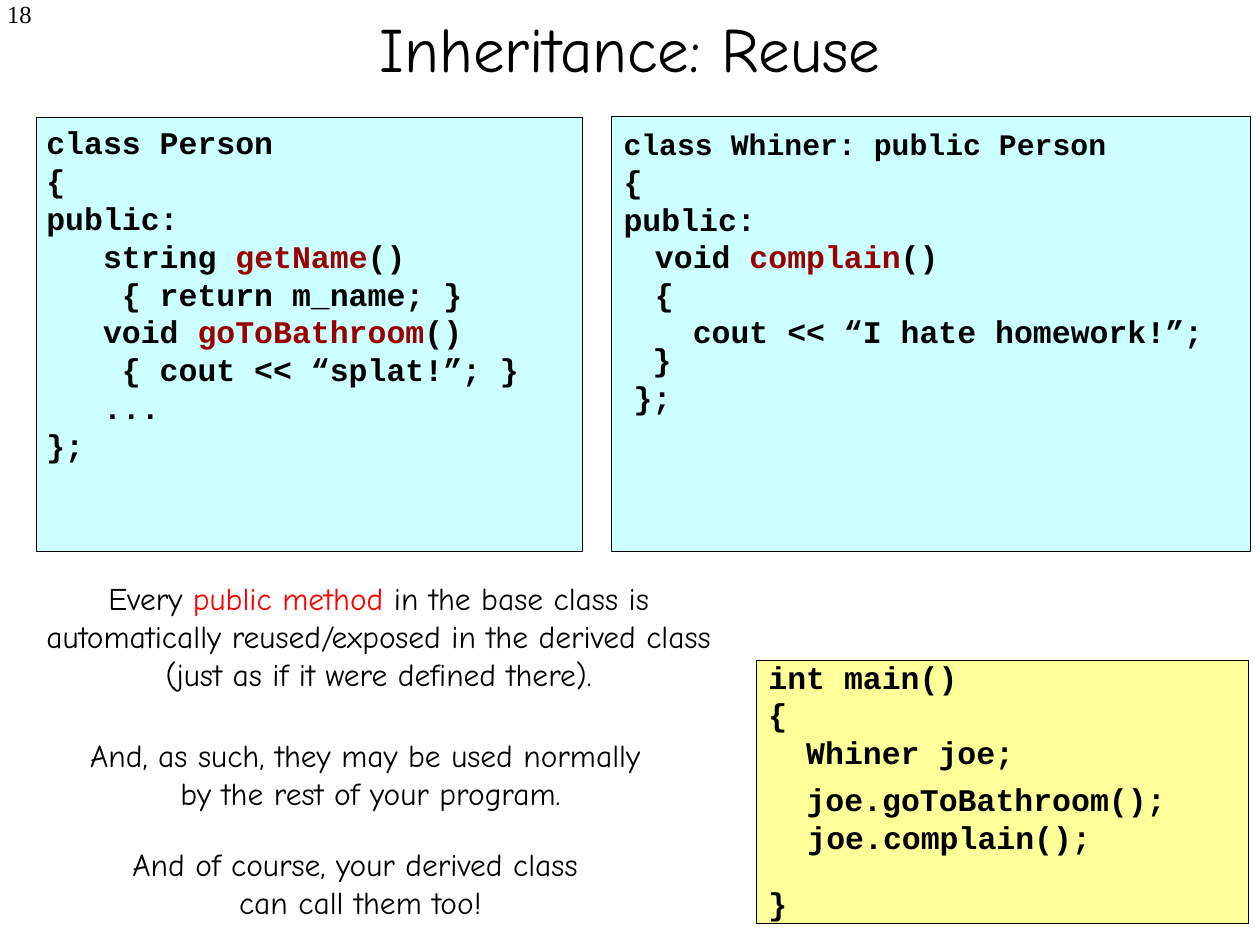
from pptx import Presentation
from pptx.dml.color import RGBColor
from pptx.enum.shapes import MSO_SHAPE
from pptx.enum.text import MSO_ANCHOR, PP_ALIGN
from pptx.util import Pt


def color(value):
    return RGBColor.from_string(value)


def add_text(left, top, width, height, lines, name="Courier New", align=PP_ALIGN.LEFT):
    box = page.shapes.add_textbox(Pt(left), Pt(top), Pt(width), Pt(height))
    frame = box.text_frame
    frame.word_wrap = True
    for index, line in enumerate(lines):
        para = frame.paragraphs[0] if index == 0 else frame.add_paragraph()
        para.alignment = align
        para.line_spacing = Pt(21.6)
        para.font.name = name
        para.font.size = Pt(18)
        para.font.bold = name == "Courier New"
        para.font.color.rgb = color("000000")
        for position, text in enumerate(line.split("|")):
            for part, piece in enumerate(text.split("\n")):
                if part:
                    para.add_line_break()
                span = para.add_run()
                span.text = piece
                if position == 1:
                    span.font.color.rgb = color(ACCENTS[name])
    return frame


ACCENTS = {"Courier New": "990000", "Comic Neue": "FF0000"}

deck = Presentation()
deck.slide_width, deck.slide_height = Pt(720), Pt(540)
page = deck.slides.add_slide(deck.slide_layouts[5])

title = page.shapes.title
title.left, title.top, title.width, title.height = Pt(54), Pt(-18), Pt(612), Pt(90)
title.text_frame.text = "Inheritance: Reuse"
title.text_frame.vertical_anchor = MSO_ANCHOR.MIDDLE
heading = title.text_frame.paragraphs[0]
heading.alignment = PP_ALIGN.CENTER
heading.font.name = "Comic Neue"
heading.font.size = Pt(36)
heading.font.color.rgb = color("000000")

number = add_text(0, -4.3, 25.2, 36, ["18"], "Times New Roman", PP_ALIGN.RIGHT)
number.margin_left = 0
number.paragraphs[0].font.size = Pt(14)
number.paragraphs[0].line_spacing = 1.0

for left, top, width, height, fill in [
    (349.2, 66.2, 365, 249.1, "CCFFFF"),
    (20.9, 67, 311.8, 248.1, "CCFFFF"),
    (432, 377.3, 281.5, 150.5, "FFFF99"),
]:
    panel = page.shapes.add_shape(MSO_SHAPE.RECTANGLE, Pt(left), Pt(top), Pt(width), Pt(height))
    panel.shadow.inherit = False
    panel.fill.solid()
    panel.fill.fore_color.rgb = color(fill)
    panel.line.color.rgb = color("000000")
    panel.line.width = Pt(0.25)

person = add_text(19.4, 67, 300, 203.8, [
    "class Person",
    "{",
    "public:",
    "   string |getName|()",
    "    { return m_name; }",
    "   void |goToBathroom|()",
    "    { cout << “splat!”; }",
    "   ...",
    "};",
])

whiner = add_text(349.2, 67.3, 293.8, 71.3, ["class Whiner: public Person", "{", "public:"])
whiner.paragraphs[0].font.size = Pt(17)
add_text(345.6, 131.8, 366, 94.3, [
    "  void |complain|()",
    "  {",
    "    cout << “I hate homework!”;",
])
add_text(355, 190.8, 360, 51.1, [" }", "};"])

main_code = add_text(432, 372.2, 281, 159.8, ["int main()", "{", "  Whiner joe;", "}"])
main_code.paragraphs[-1].space_before = Pt(64.7)
add_text(453.8, 442.1, 240, 28.8, ["joe.goToBathroom();"])
add_text(454.3, 463.7, 240, 28.8, ["joe.complain();"])

for left, top, width, height, text in [
    (5.8, 327.6, 421.2, 74.9,
     "Every |public method |in the base class is automatically reused/exposed "
     "in the derived class (just as if it were defined there)."),
    (18, 416.9, 387.4, 51.1,
     "And, as such, they may be used normally \nby the rest of your program."),
    (33.8, 479.5, 344.2, 51.1,
     "And of course, your derived class \ncan call them too!"),
]:
    add_text(left, top, width, height, [text], "Comic Neue", PP_ALIGN.CENTER)

deck.save("out.pptx")
